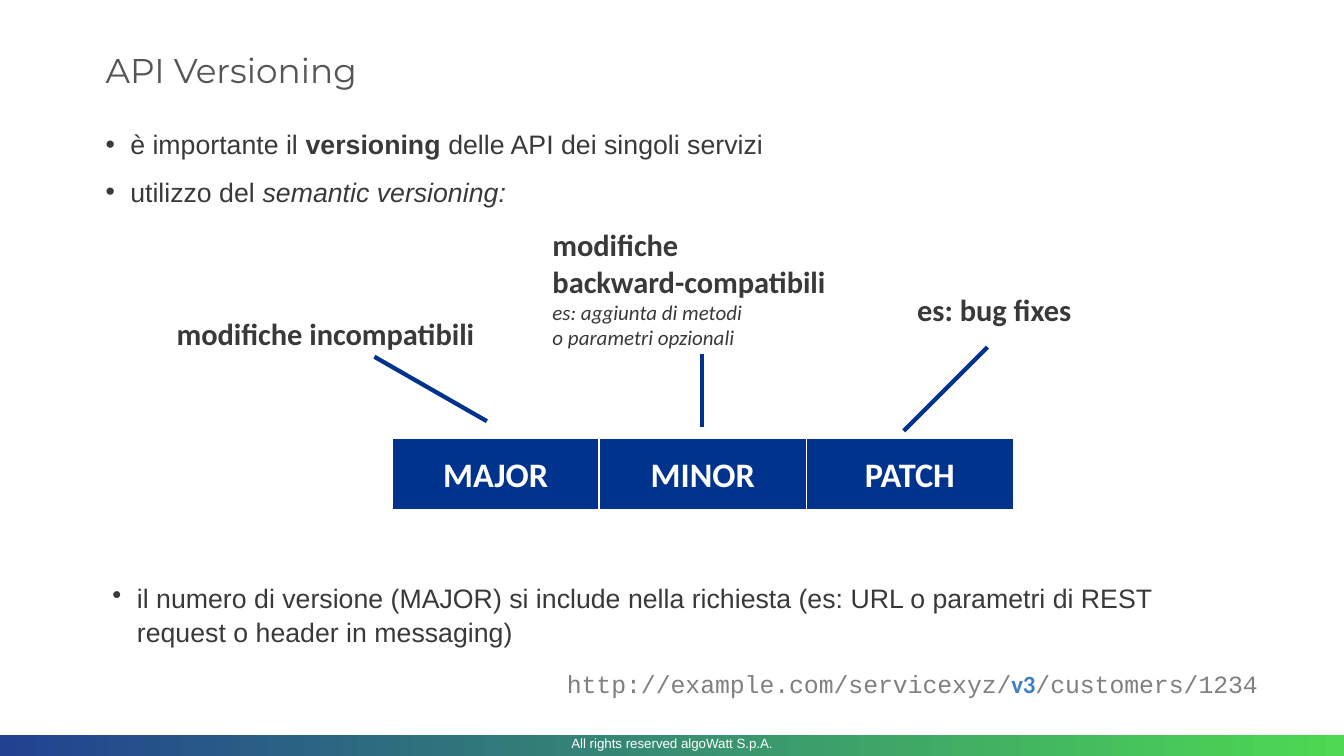
import pptx
import pptx.util
import pptx.dml.color
import pptx.enum.shapes
import pptx.enum.text
import pptx.oxml
import pptx.oxml.ns
from lxml import etree

Inches = pptx.util.Inches
Pt = pptx.util.Pt
ALIGN = pptx.enum.text.PP_ALIGN
ANCHOR = pptx.enum.text.MSO_ANCHOR

COLORS = {
    "text": "3B3838", "title": "595555", "navy": "00338E", "white": "FFFFFF",
    "url": "808080", "version": "3E80C2", "blue": "214291", "green": "4DD952",
}


def rgb(name):
    """Return the named colour."""
    return pptx.dml.color.RGBColor.from_string(COLORS[name])


def add_run(p, text, size, color="text", font="Arial", bold=False, italic=False):
    """Add a formatted run, breaking the line at each newline."""
    for i, line in enumerate(text.split("\n")):
        if i:
            p.add_line_break()
        r = p.add_run()
        r.text = line
        r.font.name = font
        r.font.size = Pt(size)
        r.font.bold = bold
        r.font.italic = italic
        r.font.color.rgb = rgb(color)


def place(shape, box):
    """Move a shape to a box given in inches."""
    shape.left, shape.top, shape.width, shape.height = map(Inches, box)


def add_text_box(s, box, wrap=True):
    """Add an empty text box and return its text frame."""
    tf = s.shapes.add_textbox(*map(Inches, box)).text_frame
    tf.word_wrap = wrap
    return tf


def add_title(s, box):
    """Fill the title placeholder."""
    place(s.shapes.title, box)
    tf = s.shapes.title.text_frame
    tf.vertical_anchor = ANCHOR.MIDDLE
    tf.paragraphs[0].alignment = ALIGN.LEFT
    add_run(tf.paragraphs[0], "API Versioning", 18, "title", "Montserrat")


def add_bullets(tf, items):
    """Write bulleted paragraphs, each a list of text and style pairs."""
    for i, item in enumerate(items):
        p = tf.add_paragraph() if i else tf.paragraphs[0]
        pPr = p._p.get_or_add_pPr()
        pPr.set("marL", str(Inches(0.18)))
        pPr.set("indent", str(-Inches(0.18)))
        bullet = etree.SubElement(pPr, pptx.oxml.ns.qn("a:buChar"))
        bullet.set("char", "•")
        p.line_spacing = 1.05
        p.space_before = Pt(7.3 if i else 0)
        for text, style in item:
            add_run(p, text, 14, **style)


def add_version_table(s, box):
    """Add the three-part version number."""
    parts = ["MAJOR", "MINOR", "PATCH"]
    table = s.shapes.add_table(1, len(parts), *map(Inches, box)).table
    for cell, part in zip(table.rows[0].cells, parts):
        tcPr = cell._tc.get_or_add_tcPr()
        for side, width in (("L", 1), ("R", 1), ("T", 1), ("B", 3)):
            tcPr.append(pptx.oxml.parse_xml(
                f'<a:ln{side} {pptx.oxml.ns.nsdecls("a")} w="{Pt(width)}"><a:solidFill>'
                f'<a:srgbClr val="{COLORS["white"]}"/></a:solidFill></a:ln{side}>'))
        cell.fill.solid()
        cell.fill.fore_color.rgb = rgb("navy")
        cell.vertical_anchor = ANCHOR.MIDDLE
        cell.margin_left = cell.margin_right = Inches(0.07)
        cell.margin_top = cell.margin_bottom = 0
        p = cell.text_frame.paragraphs[0]
        p.alignment = ALIGN.CENTER
        p.line_spacing = 1.07
        add_run(p, part, 18, "white", "Calibri", bold=True)


def add_callout(s, box, label, start, end, example=None):
    """Add a label and its pointer, with ends relative to the label box."""
    left, top = box[:2]
    tf = add_text_box(s, box, wrap=False)
    tf.auto_size = pptx.enum.text.MSO_AUTO_SIZE.SHAPE_TO_FIT_TEXT
    add_run(tf.paragraphs[0], label, 16, font="Calibri", bold=True)
    if example:
        add_run(tf.add_paragraph(), example, 11, font="Calibri", italic=True)
    ends = (left + start[0], top + start[1], left + end[0], top + end[1])
    line = s.shapes.add_connector(
        pptx.enum.shapes.MSO_CONNECTOR.STRAIGHT, *map(Inches, ends))
    line.line.color.rgb = rgb("navy")
    line.line.width = Pt(2.25)
    etree.SubElement(line._element.spPr, pptx.oxml.ns.qn("a:effectLst"))


def add_url(s, box):
    """Add the example address with the version highlighted."""
    tf = add_text_box(s, box)
    tf.margin_left = tf.margin_right = tf.margin_top = tf.margin_bottom = 0
    tf.vertical_anchor = ANCHOR.MIDDLE
    p = tf.paragraphs[0]
    p.alignment = ALIGN.RIGHT
    add_run(p, "http://example.com/servicexyz/", 13, "url", "Courier New")
    add_run(p, "v3", 13, "version", "Calibri", bold=True)
    add_run(p, "/customers/1234", 13, "url", "Courier New")


def add_footer(s, box):
    """Add the gradient bar and the rights line centred on it."""
    left, top, width, height = box
    bar = s.shapes.add_shape(
        pptx.enum.shapes.MSO_SHAPE.RECTANGLE, *map(Inches, box))
    bar.shadow.inherit = False
    bar.line.fill.background()
    bar.fill.gradient()
    bar.fill.gradient_angle = 0
    for stop, color in zip(bar.fill.gradient_stops, ("blue", "green")):
        stop.color.rgb = rgb(color)
    tf = add_text_box(s, (left + (width - 3.31) / 2, top - 0.09, 3.31, 0.29))
    tf.vertical_anchor = ANCHOR.MIDDLE
    tf.paragraphs[0].alignment = ALIGN.CENTER
    add_run(tf.paragraphs[0], "All rights reserved algoWatt S.p.A.", 7, "white")


def add_versioning_slide(prs):
    """Build the API versioning slide."""
    s = prs.slides.add_slide(prs.slide_layouts[1])
    add_footer(s, (0, 5.36, 9.8, 0.15))
    add_title(s, (0.67, 0.29, 8.45, 0.43))
    body = s.placeholders[1]
    place(body, (0.67, 0.87, 8.45, 0.85))
    add_bullets(body.text_frame, [
        [("è importante il ", {}), ("versioning ", {"bold": True}),
         ("delle API dei singoli servizi", {})],
        [("utilizzo del ", {}), ("semantic versioning:", {"italic": True})],
    ])
    add_version_table(s, (2.86, 3.19, 4.53, 0.54))
    add_callout(s, (1.19, 2.25, 2.4, 0.37), "modifiche incompatibili",
                (1.54, 0.35), (2.36, 0.82))
    add_callout(s, (3.93, 1.6, 2.22, 1.04), "modifiche\nbackward-compatibili",
                (1.19, 0.98), (1.19, 1.51),
                "es: aggiunta di metodi\no parametri opzionali")
    add_callout(s, (6.59, 2.07, 1.34, 0.37), "es: bug fixes",
                (0.61, 0.46), (0, 1.07))
    add_bullets(add_text_box(s, (0.72, 4.18, 8.45, 0.85)), [
        [("il numero di versione (MAJOR) si include nella richiesta (es: URL o "
          "parametri di REST request o header in messaging)", {})],
    ])
    add_url(s, (3.88, 4.87, 5.29, 0.22))


def main():
    """Create the presentation."""
    prs = pptx.Presentation()
    prs.slide_width, prs.slide_height = Inches(9.8), Inches(5.51)
    add_versioning_slide(prs)
    prs.save("out.pptx")


if __name__ == "__main__":
    main()
